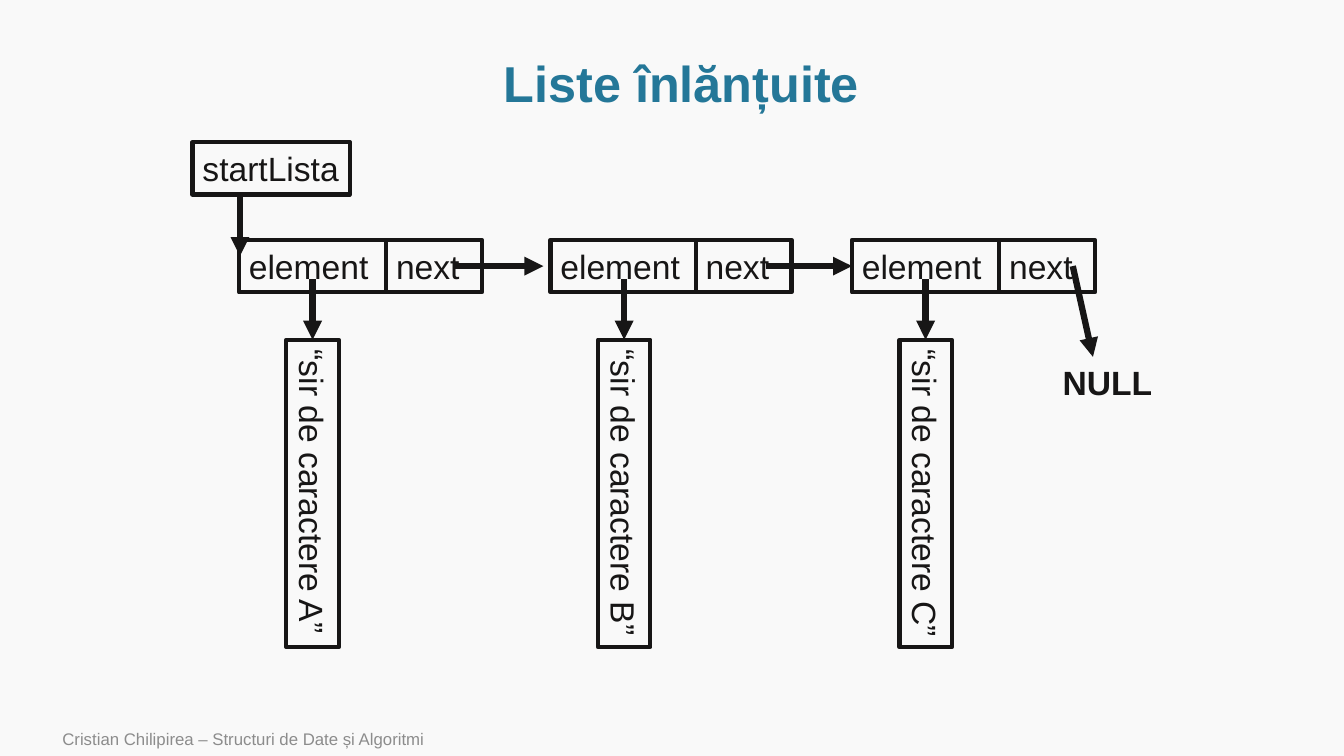
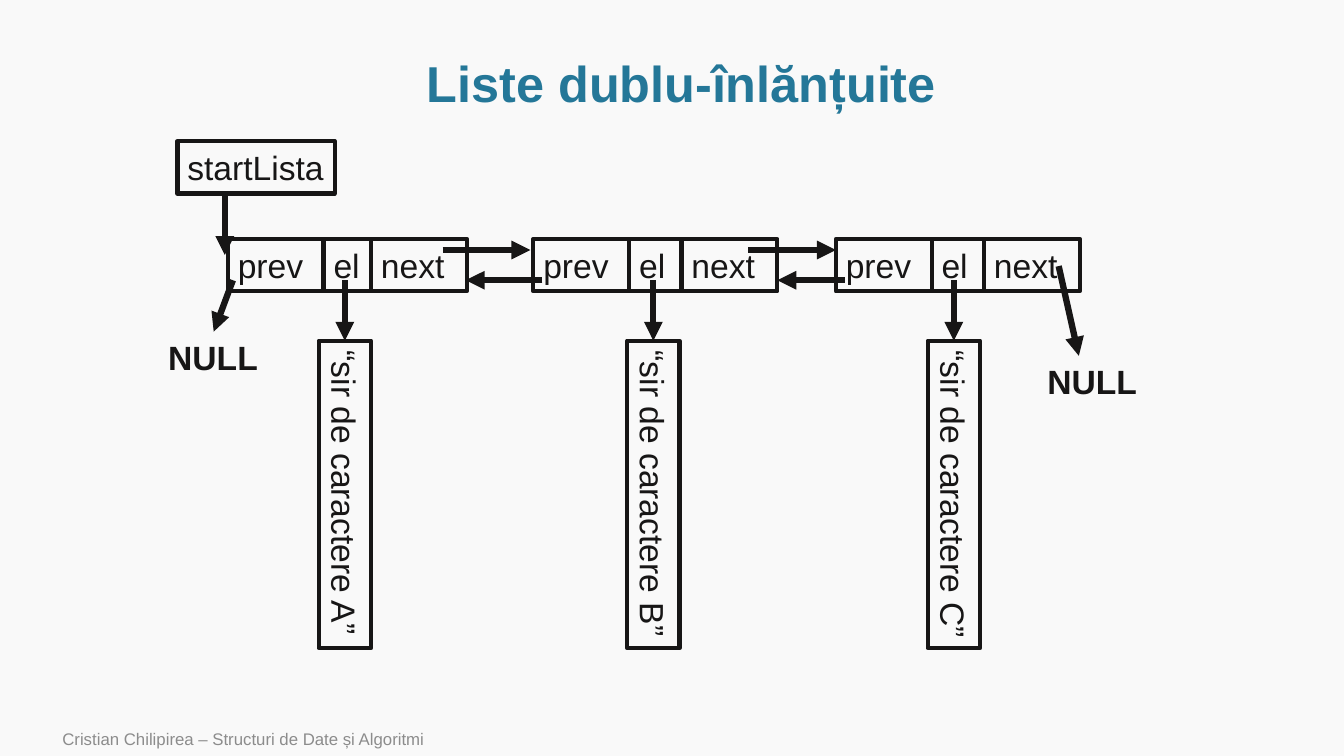
from lxml import etree
from pptx import Presentation
from pptx.dml.color import RGBColor
from pptx.enum.shapes import MSO_CONNECTOR, MSO_SHAPE
from pptx.enum.text import MSO_ANCHOR, PP_ALIGN
from pptx.oxml.ns import qn
from pptx.util import Inches, Pt

FONT = "Arial"
COLORS = {"background": "F9F9F9", "title": "247798", "ink": "171616", "footer": "8C8C8C"}
FOOTER = "Cristian Chilipirea – Structuri de Date și Algoritmi"
CELL_HEIGHT = 0.52
STRING_LENGTH = 3.05
LETTERS = "ABC"


def color(name):
    return RGBColor.from_string(COLORS[name])


def write(shape, text, size, color_name, bold=False, align=PP_ALIGN.LEFT):
    """Put one formatted paragraph into a shape."""
    shape.text_frame.text = text
    paragraph = shape.text_frame.paragraphs[0]
    paragraph.alignment = align
    font = paragraph.font
    font.name, font.size, font.bold = FONT, Pt(size), bold
    font.color.rgb = color(color_name)
    return paragraph


def set_up_template(presentation):
    """Set the background and title place shared by all slides."""
    presentation.slide_width, presentation.slide_height = Inches(13.33), Inches(7.5)
    fill = presentation.slide_master.background.fill
    fill.solid()
    fill.fore_color.rgb = color("background")
    layout = presentation.slide_layouts.get_by_name("Title Only")
    title = layout.placeholders[0]
    title.left, title.top = Inches(1.01), Inches(0.51)
    title.width, title.height = Inches(11.5), Inches(0.69)
    return layout


def add_slide(presentation, layout, title):
    slide = presentation.slides.add_slide(layout)
    heading = slide.shapes.title
    heading.text_frame.vertical_anchor = MSO_ANCHOR.MIDDLE
    write(heading, title, 36, "title", True, PP_ALIGN.CENTER).line_spacing = 0.9
    footer = slide.shapes.add_textbox(Inches(0.52), Inches(7.16), Inches(8.4), Inches(0.34))
    footer.text_frame.word_wrap = True
    footer.text_frame.vertical_anchor = MSO_ANCHOR.MIDDLE
    write(footer, FOOTER, 12, "footer")
    return slide


def add_box(slide, text, left, top, width):
    box = slide.shapes.add_shape(
        MSO_SHAPE.RECTANGLE, Inches(left), Inches(top), Inches(width), Inches(CELL_HEIGHT))
    box.shadow.inherit = False
    box.fill.background()
    box.line.color.rgb = color("ink")
    box.line.width = Pt(3)
    box.text_frame.word_wrap = False
    box.text_frame.vertical_anchor = MSO_ANCHOR.MIDDLE
    write(box, text, 24, "ink")
    return box


def add_arrow(slide, start, end):
    arrow = slide.shapes.add_connector(
        MSO_CONNECTOR.STRAIGHT, *(Inches(value) for value in (*start, *end)))
    arrow.line.color.rgb = color("ink")
    arrow.line.width = Pt(4.5)
    etree.SubElement(arrow.line._get_or_add_ln(), qn("a:tailEnd"), type="triangle")
    etree.SubElement(arrow._element.spPr, qn("a:effectLst"))
    return arrow


def add_node(slide, left, top, cells):
    """Draw adjoining cells, given as (text, width), and return their boxes."""
    boxes = []
    for text, width in cells:
        boxes.append(add_box(slide, text, left, top, width))
        left += width
    return boxes


def add_string(slide, letter, center, top):
    """Draw a string box turned on end, with the arrow from its cell."""
    box = add_box(slide, f"“sir de caractere {letter}”", center - STRING_LENGTH / 2,
                  top + (STRING_LENGTH - CELL_HEIGHT) / 2, STRING_LENGTH)
    box.rotation = 90
    arrow = add_arrow(slide, (center, top - 0.6), (center, top))
    # The left side of the turned box faces up
    arrow.end_connect(box, 1)
    arrow.end_x, arrow.end_y = Inches(center), Inches(top)


def add_null(slide, left, top):
    label = slide.shapes.add_textbox(Inches(left), Inches(top), Inches(1.1), Inches(0.5))
    label.text_frame.word_wrap = False
    write(label, "NULL", 24, "ink", bold=True)


def add_start(slide, left, top):
    """Draw the list head and its arrow to the first node."""
    add_box(slide, "startLista", left, top, 1.56)
    arrow_x, bottom = left + 0.47, top + CELL_HEIGHT
    add_arrow(slide, (arrow_x, bottom), (arrow_x, bottom + 0.61))


def build_linked_list(slide):
    top, middle = 2.38, 2.64
    nodes = []
    for letter, left, element_width, center in zip(
            LETTERS, (2.37, 5.46, 8.45), (1.46, 1.44, 1.46), (3.1, 6.19, 9.18)):
        nodes.append(add_node(slide, left, top, [("element", element_width), ("next", 0.95)]))
        add_string(slide, letter, center, 3.37)

    # Links to the next node, and the end of the list
    add_arrow(slide, (4.51, middle), (5.39, middle))
    add_arrow(slide, (7.6, middle), (8.45, middle)).end_connect(nodes[2][0], 1)
    add_arrow(slide, (10.64, middle), (10.84, 3.54))
    add_null(slide, 10.44, 3.54)
    add_start(slide, 1.91, 1.41)


def build_doubly_linked_list(slide):
    top, next_y, previous_y = 2.37, 2.48, 2.78
    for letter, left, element_width, center in zip(
            LETTERS, (2.26, 5.29, 8.29), (0.47, 0.52, 0.52), (3.42, 6.48, 9.46)):
        add_node(slide, left, top, [("prev", 0.95), ("el", element_width), ("next", 0.95)])
        add_string(slide, letter, center, 3.38)

    # Links in both directions
    for start, end in ((4.39, 5.26), (7.42, 8.29)):
        add_arrow(slide, (start, next_y), (end, next_y))
    for start, end in ((5.38, 4.62), (8.38, 7.71)):
        add_arrow(slide, (start, previous_y), (end, previous_y))

    # Both ends of the list
    add_arrow(slide, (2.31, previous_y), (2.12, 3.29))
    add_null(slide, 1.57, 3.29)
    add_arrow(slide, (10.5, 2.64), (10.7, 3.53))
    add_null(slide, 10.29, 3.53)
    add_start(slide, 1.76, 1.4)


def main():
    presentation = Presentation()
    layout = set_up_template(presentation)
    build_linked_list(add_slide(presentation, layout, "Liste înlănțuite"))
    build_doubly_linked_list(add_slide(presentation, layout, "Liste dublu-înlănțuite"))
    presentation.save("out.pptx")


if __name__ == "__main__":
    main()
